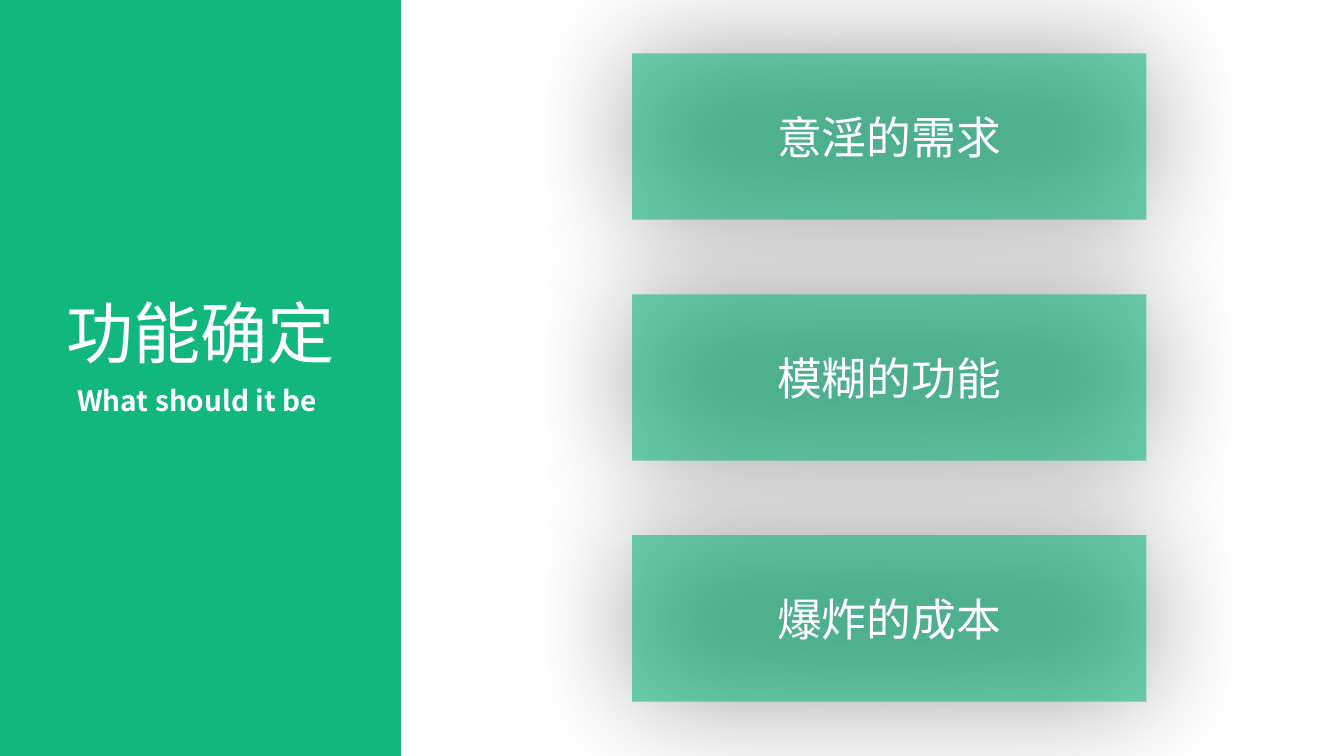
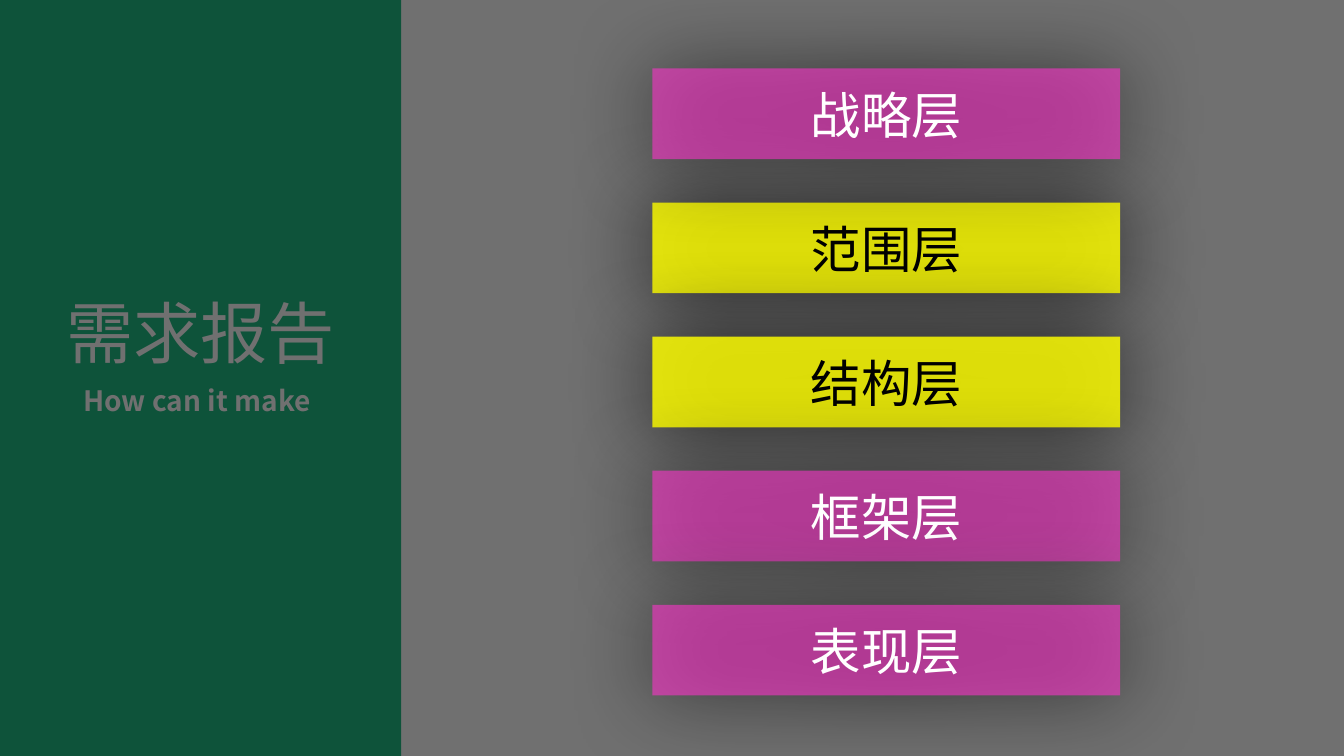
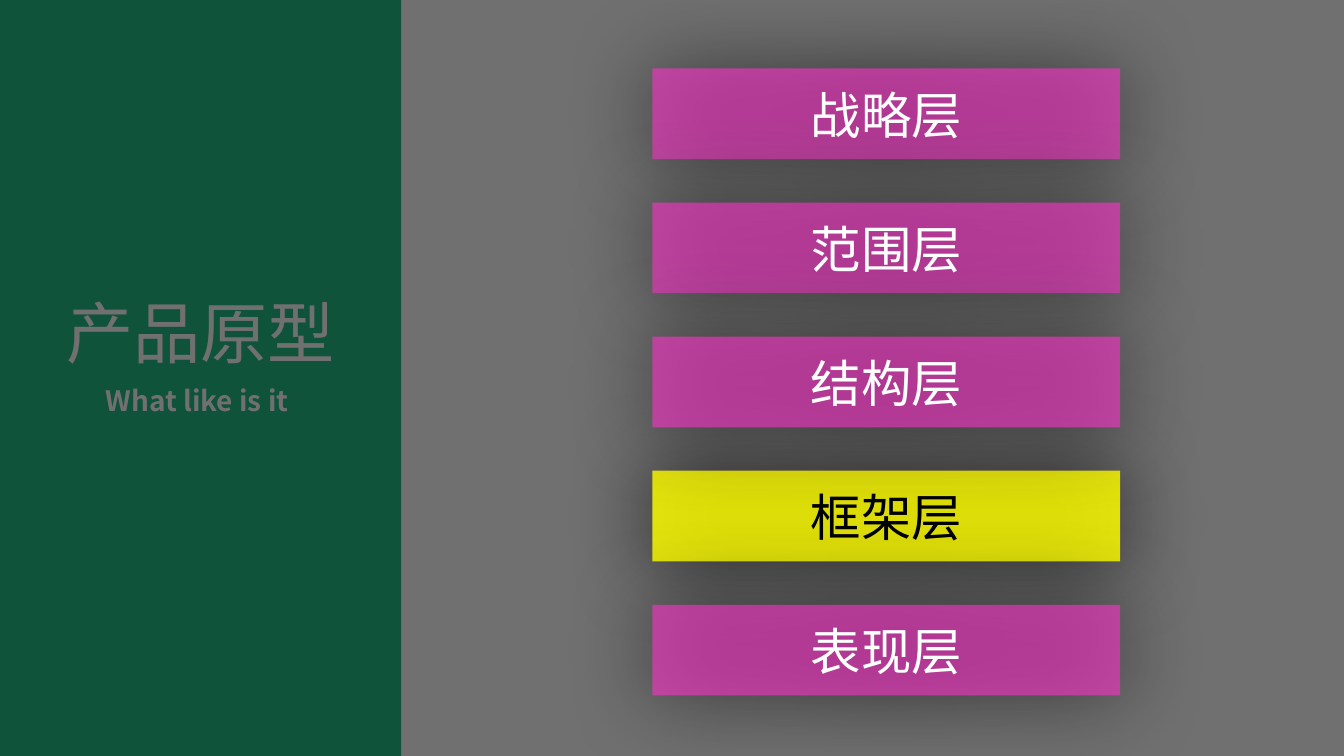
from collections import namedtuple
from dataclasses import dataclass

from lxml import etree
from pptx import Presentation
from pptx.dml.color import RGBColor
from pptx.enum.shapes import MSO_SHAPE
from pptx.enum.text import MSO_ANCHOR, MSO_AUTO_SIZE, PP_ALIGN
from pptx.oxml.ns import qn
from pptx.util import Inches, Pt

RECTANGLE = MSO_SHAPE.RECTANGLE
TOP, MIDDLE = MSO_ANCHOR.TOP, MSO_ANCHOR.MIDDLE
GROW = MSO_AUTO_SIZE.SHAPE_TO_FIT_TEXT
CENTER = PP_ALIGN.CENTER

Box = namedtuple("Box", "left top width height")  # inches
Shadow = namedtuple("Shadow", "blur opacity")  # points, percent
CardStyle = namedtuple("CardStyle", "fill opacity ink size shadow")


@dataclass(frozen=True)
class Theme:
    font: str = "Noto Sans CJK SC"
    green: str = "11B77C"
    pink: str = "FF33CC"
    yellow: str = "FFFF00"
    veil: str = "0D0D0D"
    white: str = "FFFFFF"
    black: str = "000000"
    title_size: int = 48
    subtitle_size: int = 20
    point_size: int = 32
    layer_size: int = 36


THEME = Theme()
SOFT = Shadow(85, 62)
DEEP = Shadow(65, 82)
POINT = CardStyle(THEME.green, 59, THEME.white, THEME.point_size, SOFT)
LAYER = CardStyle(THEME.pink, 59, THEME.white, THEME.layer_size, DEEP)
ACTIVE_LAYER = CardStyle(THEME.yellow, 83, THEME.black, THEME.layer_size, DEEP)

SIDEBAR = Box(0, 0, 3.98, 7.5)
VEIL = Box(0, -0.25, 13.59, 8.1)
POINT_STACK = Box(6.27, 0.53, 5.1, 6.43)
LAYER_STACK = Box(6.47, 0.68, 4.64, 6.22)
LAYERS = ["战略层", "范围层", "结构层", "框架层", "表现层"]


def add_opacity(color_element, percent):
    etree.SubElement(color_element, qn("a:alpha"), val=str(percent * 1000))


def add_rectangle(page, box, color, opacity=100):
    shape = page.shapes.add_shape(RECTANGLE, *map(Inches, box))
    shape.shadow.inherit = False
    shape.fill.solid()
    shape.fill.fore_color.rgb = RGBColor.from_string(color)
    shape.line.fill.background()
    if opacity < 100:
        add_opacity(shape.element.spPr.find(f".//{qn('a:srgbClr')}"), opacity)
    return shape


def add_glow_shadow(shape, shadow):
    effects = shape.element.spPr.find(qn("a:effectLst"))
    outer = etree.SubElement(effects, qn("a:outerShdw"), blurRad=str(Pt(shadow.blur)),
                             dist="0", dir="0", algn="ctr", rotWithShape="0")
    add_opacity(etree.SubElement(outer, qn("a:srgbClr"), val=THEME.black), shadow.opacity)


def write_line(shape, text, size, color, bold=False, anchor=MIDDLE):
    frame = shape.text_frame
    frame.word_wrap = True
    frame.vertical_anchor = anchor
    para = frame.paragraphs[0]
    para.alignment = CENTER
    para.space_before = Pt(0)
    span = para.add_run()
    span.text = text
    span.font.size = Pt(size)
    span.font.bold = bold
    span.font.name = THEME.font
    span.font.color.rgb = RGBColor.from_string(color)
    east_asian = etree.SubElement(span.font._element, qn("a:ea"))
    east_asian.set("typeface", THEME.font)


def place_heading(shape, box, text, size, bold=False):
    shape.left, shape.top, shape.width, shape.height = map(Inches, box)
    write_line(shape, text, size, THEME.white, bold, TOP)
    shape.text_frame.auto_size = GROW


def add_sidebar(page, box, title, subtitle):
    band = add_rectangle(page, box, THEME.green)
    title_shape, subtitle_shape = page.shapes.title, page.placeholders[1]
    # The band lies behind both headings
    title_shape.element.addprevious(band.element)
    place_heading(title_shape, Box(box.left, box.top + 2.84, box.width, 0.91),
                  title, THEME.title_size)
    place_heading(subtitle_shape, Box(box.left, box.top + 3.75, box.width, 0.44),
                  subtitle, THEME.subtitle_size, bold=True)
    subtitle_shape.text_frame.margin_right = Inches(0.17)


def add_card_stack(page, box, labels, height, style, active=(), active_style=None):
    pitch = (box.height - height) / (len(labels) - 1)
    cards = list(enumerate(labels))
    # Active cards go first, so that their shadows stay below the others
    cards.sort(key=lambda card: card[1] not in active)
    for row, label in cards:
        look = active_style if label in active else style
        card_box = Box(box.left, box.top + row * pitch, box.width, height)
        card = add_rectangle(page, card_box, look.fill, look.opacity)
        add_glow_shadow(card, look.shadow)
        write_line(card, label, look.size, look.ink)


def add_page(deck, title, subtitle):
    page = deck.slides.add_slide(deck.slide_layouts[0])
    add_sidebar(page, SIDEBAR, title, subtitle)
    return page


def add_points_page(deck, title, subtitle, points):
    page = add_page(deck, title, subtitle)
    add_card_stack(page, POINT_STACK, points, 1.65, POINT)


def add_layers_page(deck, title, subtitle, active):
    page = add_page(deck, title, subtitle)
    add_rectangle(page, VEIL, THEME.veil, 59)
    add_card_stack(page, LAYER_STACK, LAYERS, 0.9, LAYER, active, ACTIVE_LAYER)


def main():
    deck = Presentation()
    deck.slide_width, deck.slide_height = Inches(13.33), Inches(7.5)
    add_points_page(deck, "功能确定", "What should it be",
                    ["意淫的需求", "模糊的功能", "爆炸的成本"])
    add_layers_page(deck, "需求报告", "How can it make", ["范围层", "结构层"])
    add_layers_page(deck, "产品原型", "What like is it", ["框架层"])
    deck.save("out.pptx")


if __name__ == "__main__":
    main()
